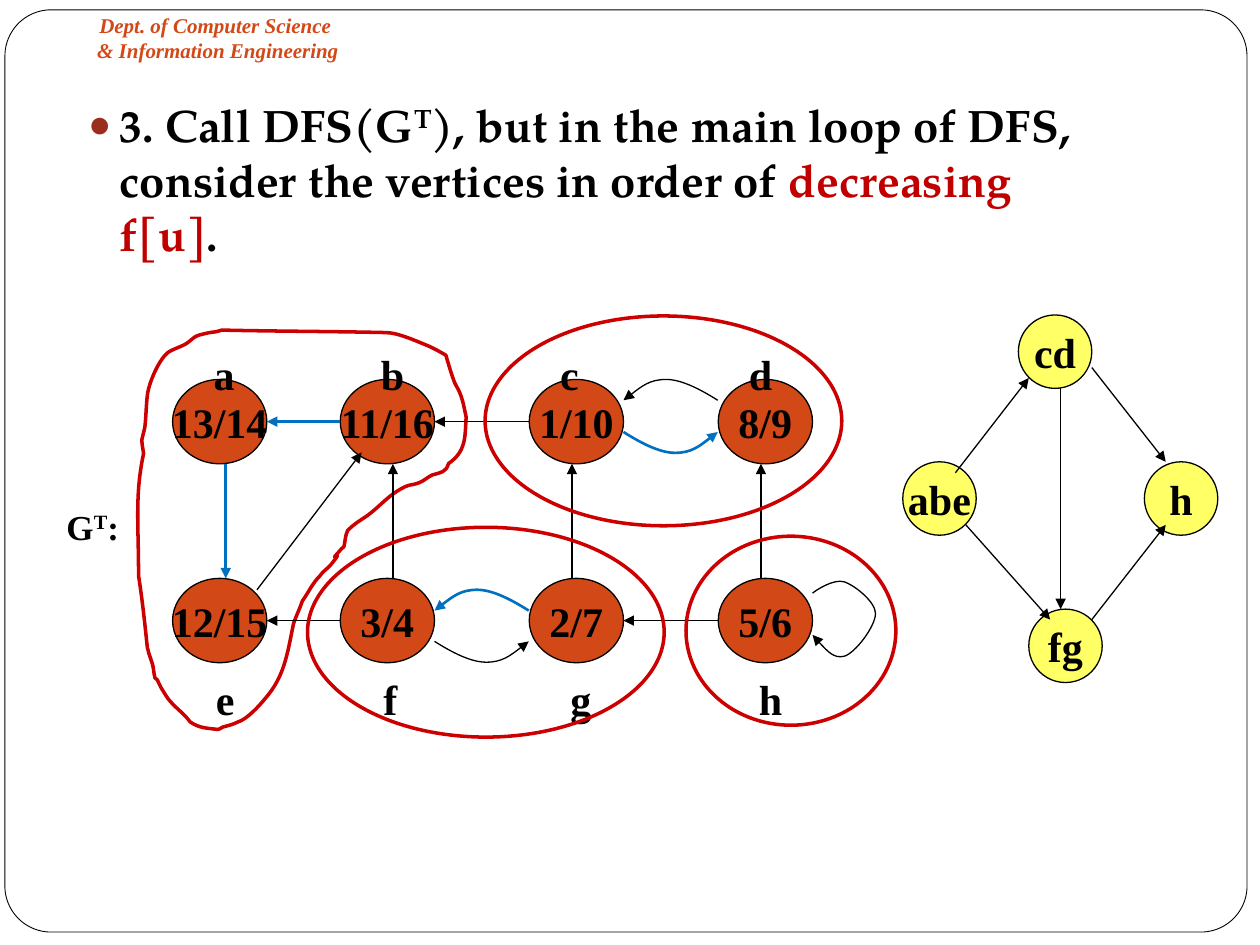
from dataclasses import dataclass
from typing import NamedTuple

from pptx import Presentation
from pptx.dml.color import RGBColor
from pptx.enum.shapes import MSO_CONNECTOR, MSO_SHAPE
from pptx.enum.text import MSO_ANCHOR, MSO_AUTO_SIZE, PP_ALIGN
from pptx.oxml.ns import qn
from pptx.oxml.xmlchemy import OxmlElement
from pptx.util import Cm, Pt


@dataclass(frozen=True)
class Theme:
    serif: str = "Times New Roman"
    body: str = "TeX Gyre Pagella"
    black: str = "000000"
    white: str = "FFFFFF"
    vertex: str = "D34817"
    component: str = "FFFF66"
    ring: str = "CC0000"
    tree: str = "0070C0"
    accent: str = "C00000"
    bullet: str = "9B2D1F"
    header_pt: int = 12
    caption_pt: int = 20
    node_pt: int = 24
    body_pt: int = 26
    thin: float = 0.75
    tree_pt: float = 1.75
    arc_pt: float = 1.5
    ring_pt: float = 2


class Vertex(NamedTuple):
    name: str
    times: str
    col: int
    row: int
    label_x: float
    label_w: float


class Component(NamedTuple):
    name: str
    x: float
    y: float


class Edge(NamedTuple):
    x1: float
    y1: float
    x2: float
    y2: float
    tree: bool = False


T = Theme()
COLS, ROWS = (3.48, 6.86, 10.67, 14.48), (7.65, 11.66)
NODE_W, NODE_H, COMPONENT_D = 1.9, 1.7, 1.48
LABEL_Y = (6.81, 13.36)
VERTICES = [
    Vertex("a", "13/14", 0, 0, 4.11, 0.81), Vertex("b", "11/16", 1, 0, 7.49, 0.81),
    Vertex("c", "1/10", 2, 0, 11.1, 0.76), Vertex("d", "8/9", 3, 0, 14.91, 0.81),
    Vertex("e", "12/15", 0, 1, 4.11, 0.81), Vertex("f", "3/4", 1, 1, 7.49, 0.71),
    Vertex("g", "2/7", 2, 1, 11.3, 0.81), Vertex("h", "5/6", 3, 1, 15.11, 0.84),
]
COMPONENTS = [Component("abe", 18.2, 9.31), Component("cd", 20.53, 6.35),
              Component("h", 23.07, 9.31), Component("fg", 20.74, 12.28)]
COMPONENT_EDGES = [
    Edge(19.26, 9.53, 20.74, 7.62), Edge(19.47, 10.58, 21.17, 12.49),
    Edge(21.38, 7.83, 21.38, 12.28), Edge(22.01, 7.41, 23.5, 9.31),
    Edge(22.01, 12.49, 23.5, 10.58),
]
RINGS = [(6.2, 10.63, 7.19, 4.23), (9.78, 6.37, 7.19, 4.23), (13.83, 10.81, 4.23, 3.81)]
ARC = [(0, 0.42), (0.28, 0.2), (0.53, 0), (0.86, 0), (1.17, 0), (1.55, 0.2), (1.9, 0.42)]
LOOP = [(16.38, 12.8), (16.61, 13.06), (16.81, 13.28), (17.02, 13.23), (17.25, 13.16),
        (17.65, 12.62), (17.65, 12.37), (17.65, 12.14), (17.25, 11.81), (17.02, 11.73),
        (16.81, 11.66), (16.43, 11.91), (16.38, 11.96)]
# Bézier points of the outline round a, b, e, in hundredths of an inch
ABE_OUTLINE = [
    (115, 339), (116, 331), (116, 322), (117, 314), (118, 304), (126, 286), (133, 280),
    (137, 277), (145, 275), (149, 272), (152, 270), (154, 267), (158, 266),
    (173, 262), (167, 265), (176, 262), (219, 263), (262, 263), (306, 264),
    (316, 264), (331, 271), (341, 275), (345, 277), (349, 279), (354, 282),
    (355, 286), (360, 303), (362, 306), (367, 314), (368, 322), (370, 331),
    (369, 348), (370, 358), (356, 368), (354, 375), (350, 375), (343, 377),
    (339, 379), (336, 382), (333, 383), (326, 386), (326, 383), (315, 390),
    (307, 395), (300, 403), (292, 409), (286, 413), (281, 416), (276, 421),
    (274, 425), (274, 430), (273, 434), (272, 435), (270, 436), (269, 438),
    (259, 449), (276, 432), (262, 449), (259, 452), (256, 454), (254, 457),
    (248, 463), (245, 470), (240, 477), (238, 483), (235, 489), (233, 495),
    (228, 519), (226, 537), (210, 555), (206, 560), (196, 571), (189, 573),
    (185, 575), (181, 576), (177, 577), (176, 578), (173, 579), (173, 579),
    (165, 578), (158, 578), (151, 573), (146, 566), (138, 561), (133, 554),
    (131, 551), (128, 546), (128, 546), (127, 545), (127, 543), (126, 542),
    (126, 540), (124, 539), (123, 538), (122, 534), (122, 530), (121, 527),
    (120, 524), (119, 521), (118, 518), (118, 517), (117, 514), (117, 514),
    (115, 495), (113, 476), (110, 457), (110, 415), (107, 393), (114, 360),
    (112, 346), (112, 353), (115, 339),
]


def style_run(r, size: float, color: str = T.black, font: str = T.serif) -> None:
    r.font.name, r.font.size, r.font.bold = font, Pt(size), True
    r.font.color.rgb = RGBColor.from_string(color)


def add_superscript_t(p):
    r = p.add_run()
    r.text = "T"
    r._r.get_or_add_rPr().set("baseline", "30000")


def set_line(sp, color: str, width: float, arrow: str = "") -> None:
    """Style a line; arrow is headEnd (at its start), tailEnd (at its end) or empty."""
    sp.line.color.rgb = RGBColor.from_string(color)
    sp.line.width = Pt(width)
    if arrow:
        end = OxmlElement(f"a:{arrow}")
        end.set("type", "triangle")
        sp.element.spPr.find(qn("a:ln")).append(end)


def add_outline(shapes, kind, box: tuple, color: str = T.black, width: float = T.thin, fill: str = ""):
    sp = shapes.add_shape(kind, *map(Cm, box))
    sp.shadow.inherit = False
    if fill:
        sp.fill.solid()
        sp.fill.fore_color.rgb = RGBColor.from_string(fill)
    else:
        sp.fill.background()
    set_line(sp, color, width)
    return sp


def add_node(shapes, text: str, box: tuple, fill: str) -> None:
    tf = add_outline(shapes, MSO_SHAPE.OVAL, box, fill=fill).text_frame
    tf.text = text
    tf.word_wrap, tf.vertical_anchor = False, MSO_ANCHOR.MIDDLE
    tf.paragraphs[0].alignment = PP_ALIGN.CENTER
    style_run(tf.paragraphs[0].runs[0], T.node_pt)


def add_label(shapes, text: str, box: tuple, size: int):
    tf = shapes.add_textbox(*map(Cm, box)).text_frame
    tf.text, tf.word_wrap = text, False
    tf.margin_left = tf.margin_right = Cm(0.19)
    tf.margin_top, tf.margin_bottom = Cm(0.21), 0
    p = tf.paragraphs[0]
    p.alignment = PP_ALIGN.RIGHT
    style_run(p.runs[0], size)
    return p


def add_edge(shapes, edge: Edge, arrow: str) -> None:
    cx = shapes.add_connector(MSO_CONNECTOR.STRAIGHT, *map(Cm, edge[:4]))
    set_line(cx, T.tree if edge.tree else T.black, T.tree_pt if edge.tree else T.thin, arrow)
    cx.element.spPr.append(OxmlElement("a:effectLst"))


def add_curve(shapes, pts: list, color: str, width: float, arrow: str = "", close: bool = False) -> None:
    """Draw a Bézier curve: a start point, then three points for each segment."""
    start, *rest = [(Cm(x), Cm(y)) for x, y in pts]
    fb = shapes.build_freeform(*start)
    fb.add_line_segments(rest, close=close)
    sp = fb.convert_to_shape()
    steps = list(sp.element.iter(qn("a:lnTo")))
    for i in range(0, len(steps), 3):
        bez = OxmlElement("a:cubicBezTo")
        steps[i].addprevious(bez)
        for step in steps[i:i + 3]:
            bez.append(step[0])
            step.getparent().remove(step)
    sp.fill.background()
    sp.shadow.inherit = False
    set_line(sp, color, width, arrow)


def add_arc(shapes, x: float, y: float, flip: bool, tree: bool) -> None:
    pts = [(x + 1.9 - dx, y + 0.42 - dy) if flip else (x + dx, y + dy) for dx, dy in ARC]
    add_curve(shapes, pts, T.tree if tree else T.black, T.arc_pt if tree else T.thin, "headEnd")


def add_header(shapes) -> None:
    tf = shapes.add_textbox(*map(Cm, (1.5, 0.13, 5.79, 1.27))).text_frame
    tf.text, tf.word_wrap = "Dept. of Computer Science \v& Information Engineering", True
    tf.paragraphs[0].alignment = PP_ALIGN.CENTER
    for r in tf.paragraphs[0].runs:
        style_run(r, T.header_pt, T.vertex)
        r.font.italic = True


def fill_body(body) -> None:
    body.left, body.top, body.width, body.height = map(Cm, (0.64, 1.83, 21.59, 12.7))
    tf = body.text_frame
    tf.auto_size = MSO_AUTO_SIZE.NONE
    p = tf.paragraphs[0]
    p.level, p.space_before = 1, Pt(3.8)
    p.add_run().text = "3. Call DFS(G"
    add_superscript_t(p)
    for text in ("), but in the main loop of DFS, consider the vertices in order of ", "decreasing f[u]", "."):
        p.add_run().text = text
    for r in p.runs:
        style_run(r, T.body_pt, T.accent if r.text.startswith("decreasing") else T.black, T.body)
    pPr = p._p.get_or_add_pPr()
    pPr.set("marL", str(Cm(1.52)))
    pPr.set("indent", str(Cm(-0.64)))
    color, size, char = (OxmlElement(f"a:{tag}") for tag in ("buClr", "buSzPct", "buChar"))
    rgb = OxmlElement("a:srgbClr")
    rgb.set("val", T.bullet)
    color.append(rgb)
    size.set("val", "85000")
    char.set("char", "●")
    pPr.extend([color, size, char])


def add_transpose_graph(shapes) -> None:
    add_curve(shapes, [(x * 0.0254, y * 0.0254) for x, y in ABE_OUTLINE], T.ring, T.ring_pt, close=True)
    for v in VERTICES:
        add_node(shapes, v.times, (COLS[v.col], ROWS[v.row], NODE_W, NODE_H), T.vertex)
    for v in VERTICES:
        add_label(shapes, v.name, (v.label_x, LABEL_Y[v.row], v.label_w, 0.84), T.node_pt)
    for col, row in ((0, 0), (1, 0), (0, 1), (2, 1)):
        y = ROWS[row] + NODE_H / 2
        add_edge(shapes, Edge(COLS[col] + NODE_W, y, COLS[col + 1], y, (col, row) == (0, 0)), "headEnd")
    upper, lower = ROWS[0] + NODE_H, ROWS[1]
    add_edge(shapes, Edge(4.55, lower, 4.55, upper, True), "headEnd")
    add_edge(shapes, Edge(7.29, 9.12, 5.18, 11.89), "headEnd")
    for x in (7.92, 11.53, 15.34):
        add_edge(shapes, Edge(x, upper, x, lower), "headEnd")
    for col, y, flip, tree in ((1, 11.89, False, True), (1, 12.93, True, False),
                               (2, 7.65, False, False), (2, 8.71, True, True)):
        add_arc(shapes, COLS[col] + NODE_W, y, flip, tree)
    add_curve(shapes, LOOP, T.black, T.thin, "headEnd")
    p = add_label(shapes, "G", (1.02, 9.98, 1.57, 1.12), T.caption_pt)
    add_superscript_t(p)
    p.add_run().text = ":"
    for r in p.runs:
        style_run(r, T.caption_pt)
    for box in RINGS:
        add_outline(shapes, MSO_SHAPE.OVAL, box, T.ring, T.ring_pt)


def add_component_graph(shapes) -> None:
    for c in COMPONENTS:
        add_node(shapes, c.name, (c.x, c.y, COMPONENT_D, COMPONENT_D), T.component)
    for edge in COMPONENT_EDGES:
        add_edge(shapes, edge, "tailEnd")


def main() -> None:
    prs = Presentation()
    prs.slide_width, prs.slide_height = Cm(25.4), Cm(19.05)
    slide = prs.slides.add_slide(prs.slide_layouts[1])
    shapes = slide.shapes
    title, body = slide.placeholders
    title.element.getparent().remove(title.element)
    frame = add_outline(shapes, MSO_SHAPE.ROUNDED_RECTANGLE, (0.1, 0.2, 25.04, 18.59), width=0.5, fill=T.white)
    frame.adjustments[0] = 0.05
    add_header(shapes)
    add_transpose_graph(shapes)
    add_component_graph(shapes)
    fill_body(body)
    shapes.element.append(body.element)  # bring the text in front of the frame
    prs.save("out.pptx")


if __name__ == "__main__":
    main()
